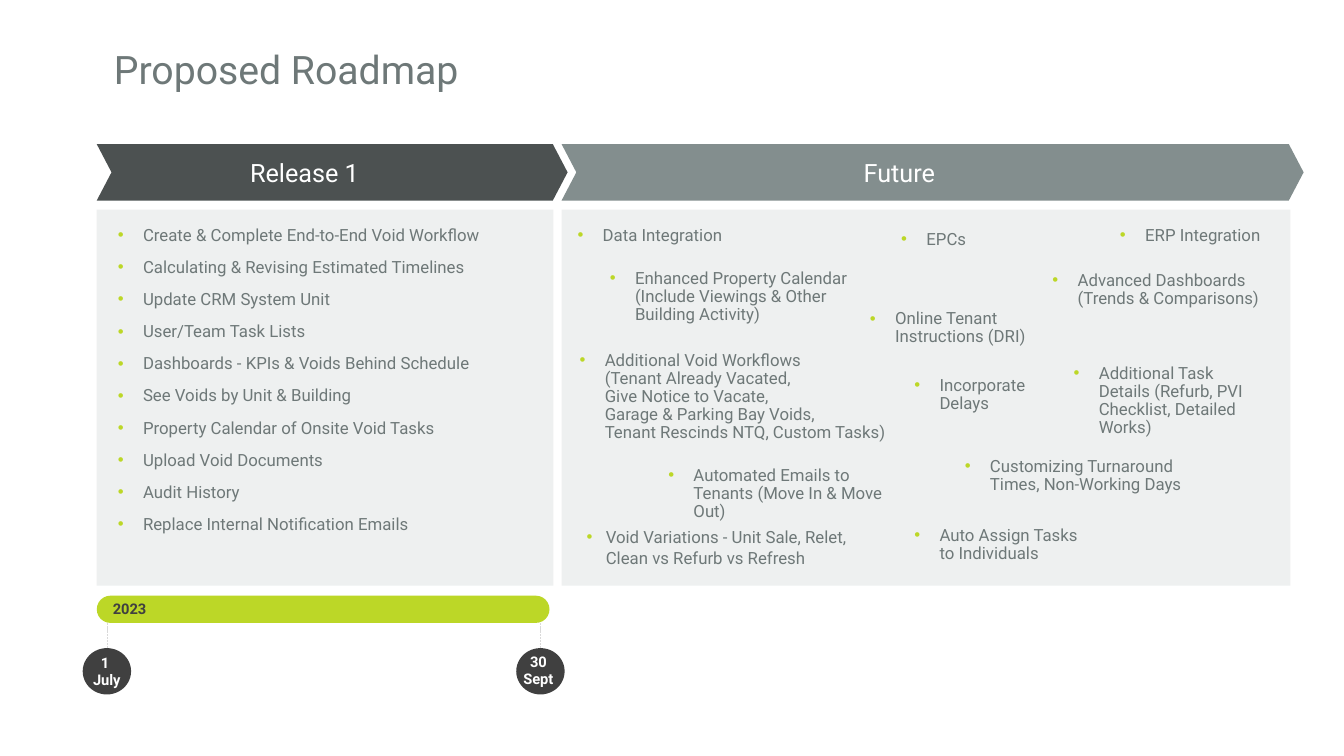
from copy import deepcopy

from lxml import etree
from pptx import Presentation
from pptx.dml.color import RGBColor
from pptx.enum.dml import MSO_LINE
from pptx.enum.shapes import MSO_CONNECTOR, MSO_SHAPE
from pptx.enum.text import MSO_ANCHOR, MSO_AUTO_SIZE, PP_ALIGN
from pptx.oxml.ns import qn
from pptx.util import Inches, Pt

FONT = "Roboto"
COLORS = {
    "text": "6E7878",
    "white": "FFFFFF",
    "release": "373C3C",
    "future": "838E8E",
    "panel": "EEF0F0",
    "lime": "BCD727",
    "dark": "404040",
    "guide": "D9D9D9",
}

RELEASE_ITEMS = [
    "Create & Complete End-to-End Void Workflow",
    "Calculating & Revising Estimated Timelines",
    "Update CRM System Unit",
    "User/Team Task Lists",
    "Dashboards - KPIs & Voids Behind Schedule",
    "See Voids by Unit & Building",
    "Property Calendar of Onsite Void Tasks",
    "Upload Void Documents",
    "Audit History",
    "Replace Internal Notification Emails",
]

# Left, top, width, height, wording
FUTURE_ITEMS = [
    (5.63, 2.2, 2.17, 0.37, "Data Integration"),
    (11.01, 2.2, 1.61, 0.28, "ERP Integration"),
    (10.34, 2.65, 2.26, 0.54, "Advanced Dashboards (Trends & Comparisons)"),
    (9.47, 4.49, 2.45, 0.67, "Customizing Turnaround Times, Non-Working Days"),
    (5.95, 2.63, 2.6, 0.72,
     "Enhanced Property Calendar (Include Viewings & Other Building Activity)"),
    (8.53, 3.03, 2.1, 0.54, "Online Tenant Instructions (DRI)"),
    (6.53, 4.58, 2.54, 0.54, "Automated Emails to Tenants (Move In & Move Out)"),
    (8.84, 2.24, 1.13, 0.31, "EPCs"),
    (5.65, 3.44, 3.58, 0.97,
     "Additional Void Workflows\n(Tenant Already Vacated,\nGive Notice to Vacate,\n"
     "Garage & Parking Bay Voids,\nTenant Rescinds NTQ, Custom Tasks)"),
    (8.97, 5.18, 1.87, 0.68, "Auto Assign Tasks to Individuals"),
    (10.55, 3.57, 2.1, 0.68,
     "Additional Task Details (Refurb, PVI Checklist, Detailed Works)"),
    (8.97, 3.69, 1.66, 0.35, "Incorporate Delays"),
]


def rgb(color):
    return RGBColor.from_string(COLORS[color])


def add_bullet(paragraph, indent):
    props = paragraph._p.get_or_add_pPr()
    props.set("marL", str(Inches(indent)))
    props.set("indent", str(-Inches(indent)))
    bullet_color = etree.SubElement(props, qn("a:buClr"))
    etree.SubElement(bullet_color, qn("a:srgbClr"), val=COLORS["lime"])
    etree.SubElement(props, qn("a:buFont"), typeface="Arial")
    etree.SubElement(props, qn("a:buChar"), char="•")


def write(frame, paragraphs, size=12, color="text", bold=False, align=PP_ALIGN.LEFT,
          anchor=MSO_ANCHOR.TOP, inset=None, line=None, before=0, indent=0):
    """Fill a text frame; a newline inside a paragraph is a line break."""
    frame.word_wrap = True
    frame.auto_size = MSO_AUTO_SIZE.NONE
    frame.vertical_anchor = anchor
    if inset is not None:
        frame.margin_left = frame.margin_right = Inches(inset)
        frame.margin_top = frame.margin_bottom = Inches(inset)
    for index, wording in enumerate(paragraphs):
        paragraph = frame.add_paragraph() if index else frame.paragraphs[0]
        paragraph.text = wording
        paragraph.alignment = align
        paragraph.space_before = Pt(before)
        if line:
            paragraph.line_spacing = line
        if indent:
            add_bullet(paragraph, indent)
        for run in paragraph.runs:
            run.font.name = FONT
            run.font.size = Pt(size)
            run.font.bold = bold
            run.font.color.rgb = rgb(color)
        # Line breaks take the run format so that line heights stay even
        for line_break in paragraph._p.findall(qn("a:br")):
            line_break.insert(0, deepcopy(paragraph.runs[0]._r.rPr))


def add_text(slide, box, *paragraphs, **style):
    label = slide.shapes.add_textbox(*map(Inches, box))
    write(label.text_frame, paragraphs, **style)


def add_bullets(slide, box, *items):
    add_text(slide, box, *items, line=0.9, before=10, indent=0.25)


def add_block(slide, kind, box, color, adjust=None, alpha=None):
    block = slide.shapes.add_shape(kind, *map(Inches, box))
    block.shadow.inherit = False
    block.fill.solid()
    block.fill.fore_color.rgb = rgb(color)
    block.line.fill.background()
    if adjust is not None:
        block.adjustments[0] = adjust
    if alpha is not None:
        fill_color = block._element.spPr.find(qn("a:solidFill"))[0]
        etree.SubElement(fill_color, qn("a:alpha"), val=str(alpha * 1000))


def add_phase(slide, left, arrow_width, panel_width, color, alpha=None):
    """Chevron header with the panel below it."""
    add_block(slide, MSO_SHAPE.CHEVRON, (left, 1.43, arrow_width, 0.56), color, 0.262, alpha)
    add_block(slide, MSO_SHAPE.RECTANGLE, (left, 2.08, panel_width, 3.73), "panel")


def add_guide(slide, x):
    guide = slide.shapes.add_connector(
        MSO_CONNECTOR.STRAIGHT, Inches(x), Inches(6.15), Inches(x), Inches(6.44))
    guide.line.color.rgb = rgb("guide")
    guide.line.width = Pt(0.5)
    guide.line.dash_style = MSO_LINE.SQUARE_DOT
    etree.SubElement(guide._element.spPr, qn("a:effectLst"))


def add_timeline(slide):
    label_style = dict(size=10.5, bold=True, align=PP_ALIGN.CENTER,
                       anchor=MSO_ANCHOR.MIDDLE, inset=0)
    milestones = [(1.06, (0.86, 6.53), ["1 ", "July"]),
                  (5.36, (5.14, 6.52), ["30 Sept"])]
    for x, _, _ in milestones:
        add_guide(slide, x)
    add_block(slide, MSO_SHAPE.ROUNDED_RECTANGLE, (0.96, 5.91, 4.49, 0.27), "lime", 0.5)
    for x, corner, date in milestones:
        add_block(slide, MSO_SHAPE.OVAL, (x - 0.24, 6.43, 0.48, 0.46), "dark")
        add_text(slide, (*corner, 0.4, 0.26), *date, color="white", **label_style)
    add_text(slide, (0.75, 5.9, 1.07, 0.27), "2023", color="dark", **label_style)


def add_title(slide, wording):
    title = slide.shapes.title
    title.left, title.top, title.width, title.height = map(Inches, (1.03, 0.4, 9.43, 0.63))
    write(title.text_frame, [wording], size=28, line=0.9, before=10, anchor=MSO_ANCHOR.MIDDLE)


def main():
    deck = Presentation()
    deck.slide_width, deck.slide_height = Inches(13.33), Inches(7.5)
    slide = deck.slides.add_slide(deck.slide_layouts[5])

    add_title(slide, "Proposed Roadmap")
    add_phase(slide, 0.96, 4.67, 4.53, "release", alpha=89)
    add_phase(slide, 5.57, 7.36, 7.23, "future")
    for left, width, phase in [(0.96, 4.12, "Release 1"), (5.66, 6.52, "Future")]:
        add_text(slide, (left, 1.51, width, 0.4), phase,
                 size=18, color="white", align=PP_ALIGN.CENTER)

    add_bullets(slide, (1.07, 2.2, 4.29, 3.32), *RELEASE_ITEMS)
    add_timeline(slide)
    for *box, item in FUTURE_ITEMS:
        add_bullets(slide, box, item)
    add_text(slide, (5.72, 5.18, 3, 0.5),
             "Void Variations - Unit Sale, Relet,\nClean vs Refurb vs Refresh", indent=0.19)

    deck.save("out.pptx")


if __name__ == "__main__":
    main()
